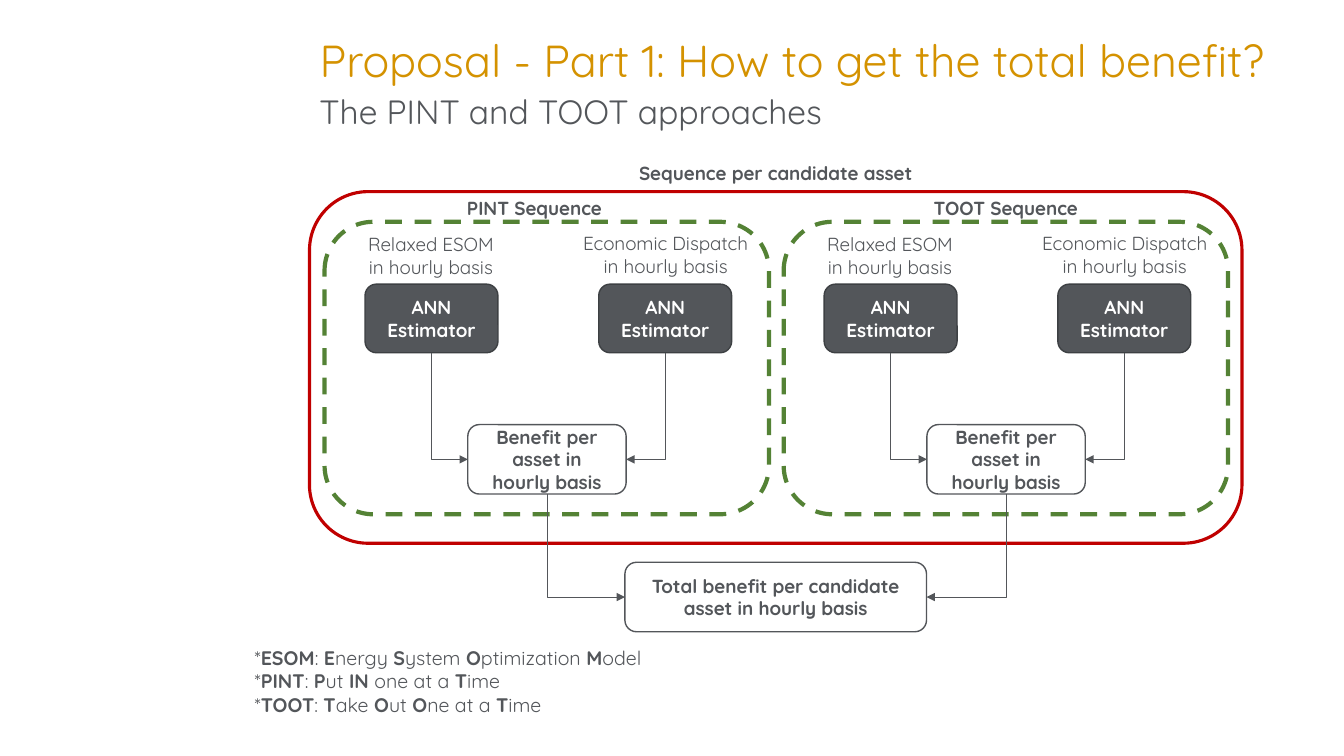
from lxml.etree import SubElement
from pptx import Presentation
from pptx.dml.color import RGBColor
from pptx.enum.dml import MSO_LINE
from pptx.enum.shapes import MSO_CONNECTOR, MSO_SHAPE
from pptx.enum.text import MSO_ANCHOR, PP_ALIGN
from pptx.oxml.ns import qn
from pptx.util import Cm, Pt

FONT = "Quicksand"
GREY, WHITE, GOLD = "53565A", "FFFFFF", "D49200"
DARK_GREY, GREEN, RED = "3D4043", "548235", "C00000"
BOTTOM, LEFT, RIGHT = 2, 1, 3


def rgb(color):
    return RGBColor.from_string(color)


def write_lines(text_frame, lines, size=13.5, color=GREY, bold=False, align=PP_ALIGN.CENTER):
    """Write one paragraph per line; text between | marks is bold."""
    for index, line in enumerate(lines):
        paragraph = text_frame.add_paragraph() if index else text_frame.paragraphs[0]
        paragraph.alignment = align
        for position, text in enumerate(line.split("|")):
            run = paragraph.add_run()
            run.text = text
            run.font.name = FONT
            run.font.size = Pt(size)
            run.font.bold = bold or position % 2 == 1
            run.font.color.rgb = rgb(color)


def add_text(slide, box, lines, wrap=False, **style):
    text_box = slide.shapes.add_textbox(*map(Cm, box))
    text_box.text_frame.word_wrap = wrap
    write_lines(text_box.text_frame, lines, **style)


def add_rounded_box(slide, box, line_color, line_width=1, fill=None):
    shape = slide.shapes.add_shape(MSO_SHAPE.ROUNDED_RECTANGLE, *map(Cm, box))
    shape.shadow.inherit = False
    if fill:
        shape.fill.solid()
        shape.fill.fore_color.rgb = rgb(fill)
    else:
        shape.fill.background()
    shape.line.color.rgb = rgb(line_color)
    shape.line.width = Pt(line_width)
    return shape


def add_step(slide, box, lines, fill=WHITE, line_color=GREY, color=GREY):
    step = add_rounded_box(slide, box, line_color, fill=fill)
    step.text_frame.word_wrap = True
    step.text_frame.vertical_anchor = MSO_ANCHOR.MIDDLE
    write_lines(step.text_frame, lines, color=color, bold=True)
    return step


def add_bent_arrow(slide, source, target, side):
    """Run down from the source, then across to the given side of the target."""
    start_x = source.left + source.width // 2
    start_y = source.top + source.height
    end_x = target.left if side == LEFT else target.left + target.width
    end_y = target.top + target.height // 2
    arrow = slide.shapes.add_connector(MSO_CONNECTOR.ELBOW, start_x, start_y, end_x, end_y)
    arrow.begin_connect(source, BOTTOM)
    arrow.end_connect(target, side)

    # The one-bend preset runs across then down, so its frame is turned a quarter.
    length, height = end_y - start_y, abs(end_x - start_x)
    arrow.left = (start_x + end_x - length) // 2
    arrow.top = (start_y + end_y - height) // 2
    arrow.width, arrow.height = length, height
    properties = arrow._element.spPr
    frame = properties.find(qn("a:xfrm"))
    frame.set("rot", str((270 if side == LEFT else 90) * 60000))
    frame.set("flipH", "1" if side == LEFT else "0")
    frame.set("flipV", "0")
    properties.find(qn("a:prstGeom")).set("prst", "bentConnector2")

    arrow.line.color.rgb = rgb(GREY)
    arrow.line.width = Pt(0.5)
    SubElement(arrow.line._get_or_add_ln(), qn("a:tailEnd"), type="triangle")
    SubElement(properties, qn("a:effectLst"))


def add_headings(slide, box):
    left, top, width, height = box
    title = slide.shapes.title
    title.left, title.top, title.width, title.height = map(Cm, (left, top, width, 1.75))
    title.text_frame.vertical_anchor = MSO_ANCHOR.TOP
    write_lines(title.text_frame, ["Proposal - Part 1: How to get the total benefit?"],
                size=32, color=GOLD, align=PP_ALIGN.LEFT)
    title.text_frame.paragraphs[0].line_spacing = 0.9
    add_text(slide, (left, top + 1.32, width, height - 1.32), ["The PINT and TOOT approaches"],
             wrap=True, size=24, align=PP_ALIGN.LEFT)


def add_sequence(slide, box, name, name_shift):
    """Draw one dashed sequence and return its benefit step."""
    left, top, width, height = box
    add_text(slide, (left + name_shift, top - 0.76, width, 0.83), [f"{name} Sequence"], bold=True)
    add_text(slide, (left + 0.66, top + 0.15, 4.04, 1.42), ["Relaxed ESOM", "in hourly basis"])
    add_text(slide, (left + 5.99, top + 0.13, 5.21, 1.42), ["Economic Dispatch", "in hourly basis"])
    benefit = add_step(slide, (left + 3.61, top + 5.11, 3.99, 1.75),
                       ["Benefit per asset in hourly basis"])
    for offset, side in ((1.02, LEFT), (6.91, RIGHT)):
        estimator = add_step(slide, (left + offset, top + 1.57, 3.35, 1.73), ["ANN", "Estimator"],
                             fill=GREY, line_color=DARK_GREY, color=WHITE)
        add_bent_arrow(slide, estimator, benefit, side)
    border = add_rounded_box(slide, box, GREEN, 3)
    border.line.dash_style = MSO_LINE.DASH
    return benefit


def add_candidate_diagram(slide, box):
    left, top, width, height = box
    add_text(slide, (left, top - 0.87, width, 0.83), ["Sequence per candidate asset"], bold=True)
    add_rounded_box(slide, box, RED, 2.25)
    total = add_step(slide, (left + 7.95, top + height + 0.48, 7.6, 1.75),
                     ["Total benefit per candidate asset in hourly basis"])
    sequences = (("PINT", 0.38, -0.31, LEFT), ("TOOT", 11.95, 0, RIGHT))
    for name, offset, name_shift, side in sequences:
        benefit = add_sequence(slide, (left + offset, top + 0.76, 11.2, 7.37), name, name_shift)
        add_bent_arrow(slide, benefit, total, side)


def add_glossary(slide, box):
    add_text(slide, box, [
        "*|ESOM|: |E|nergy |S|ystem |O|ptimization |M|odel",
        "*|PINT|: |P|ut| IN |one at a |T|ime",
        "*|TOOT|: |T|ake| O|ut| O|ne at a |T|ime",
    ], wrap=True, size=14, align=PP_ALIGN.LEFT)


def main():
    presentation = Presentation()
    presentation.slide_width, presentation.slide_height = Cm(33.87), Cm(19.05)
    slide = presentation.slides.add_slide(presentation.slide_layouts[5])
    add_headings(slide, (7.8, 0.84, 26.07, 2.59))
    add_candidate_diagram(slide, (7.8, 4.83, 23.5, 8.86))
    add_glossary(slide, (6.17, 16.15, 16.94, 2.06))
    presentation.save("out.pptx")


if __name__ == "__main__":
    main()
